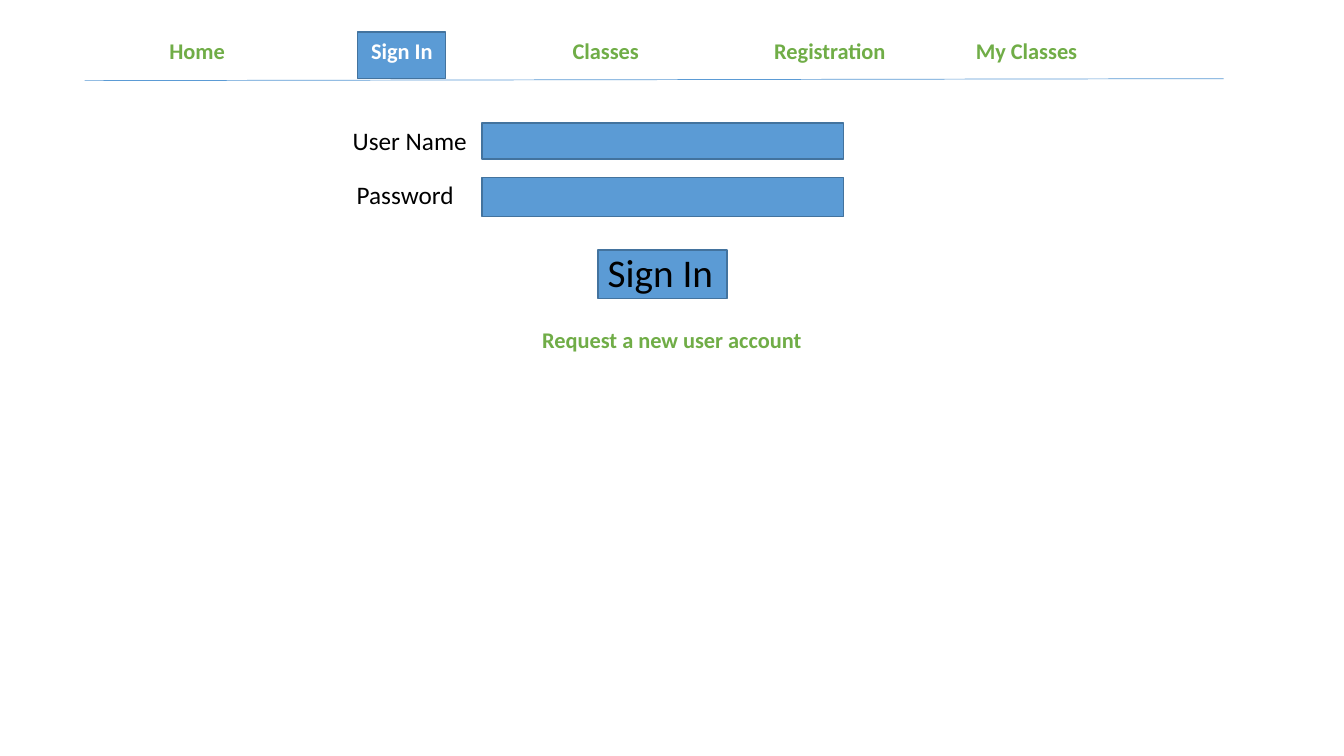
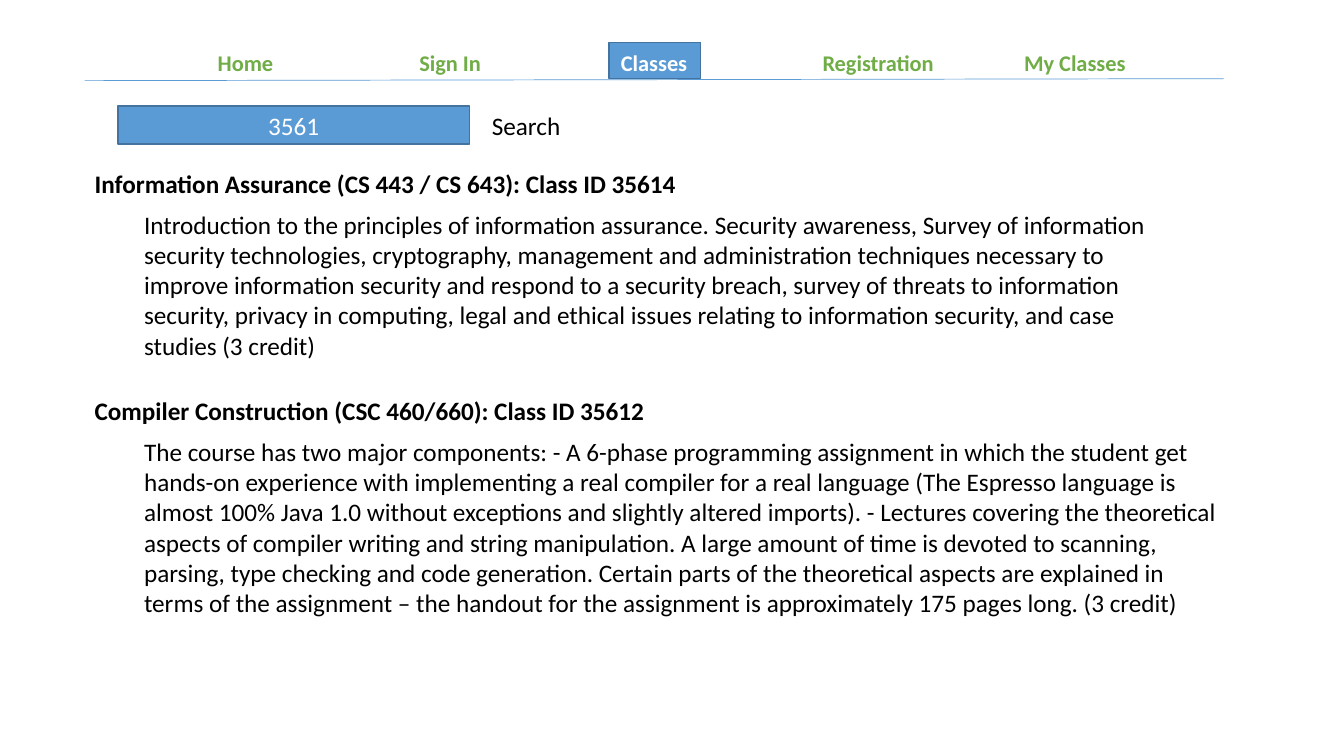
from dataclasses import dataclass

import pptx
import pptx.dml.color
import pptx.enum.shapes
import pptx.enum.text
import pptx.oxml
import pptx.oxml.ns
import pptx.util
from pptx.util import Pt

COLORS = {"blue": "5B9BD5", "edge": "43739E", "green": "70AD47",
          "white": "FFFFFF", "black": "000000"}
FONT = "Calibri"
MENU = ["Home", "Sign In", "Classes", "Registration", "My Classes"]
MENU_STEP = 144
MENU_SIZE = (812.2, 59.8)

ALIGN = pptx.enum.text.PP_ALIGN
ANCHOR = pptx.enum.text.MSO_ANCHOR
AUTO_SIZE = pptx.enum.text.MSO_AUTO_SIZE


@dataclass
class Area:
    """A rectangle on the slide, in points."""
    left: float
    top: float
    width: float
    height: float

    def lengths(self) -> list:
        """Return the four values as lengths."""
        return [Pt(v) for v in (self.left, self.top, self.width, self.height)]


@dataclass
class Label:
    """A piece of text and how it is set."""
    area: Area
    lines: list[str]
    size: float = 18
    color: str = "black"
    bold: bool = False
    align: ALIGN = ALIGN.LEFT
    anchor: ANCHOR = ANCHOR.TOP
    spacing: float = 1.0
    grow: bool = False


@dataclass
class Course:
    """A class listing: heading, description and their tops and heights."""
    heading: str
    description: list[str]
    top: float
    height: float


def rgb(name: str) -> pptx.dml.color.RGBColor:
    """Look up a named colour."""
    return pptx.dml.color.RGBColor.from_string(COLORS[name])


def set_font(font, size: float, color: str, bold: bool = False) -> None:
    """Apply the shared typeface with the given look."""
    font.name, font.size, font.bold = FONT, Pt(size), bold
    font.color.rgb = rgb(color)


def add_box(slide, area: Area, text: str = "") -> None:
    """Draw a blue outlined box, with optional centred white text."""
    box = slide.shapes.add_shape(
        pptx.enum.shapes.MSO_SHAPE.RECTANGLE, *area.lengths())
    box.shadow.inherit = False
    box.fill.solid()
    box.fill.fore_color.rgb = rgb("blue")
    box.line.color.rgb = rgb("edge")
    box.line.width = Pt(1)
    if text:
        box.text_frame.text = text
        box.text_frame.vertical_anchor = ANCHOR.MIDDLE
        paragraph = box.text_frame.paragraphs[0]
        paragraph.alignment = ALIGN.CENTER
        set_font(paragraph.font, 18, "white")


def add_label(slide, label: Label) -> None:
    """Place a text box with one paragraph per line."""
    frame = slide.shapes.add_textbox(*label.area.lengths()).text_frame
    frame.text = "\n".join(label.lines)
    frame.word_wrap = True
    frame.vertical_anchor = label.anchor
    if label.grow:
        frame.auto_size = AUTO_SIZE.SHAPE_TO_FIT_TEXT
    for paragraph in frame.paragraphs:
        paragraph.alignment = label.align
        paragraph.line_spacing = label.spacing
        set_font(paragraph.font, label.size, label.color, label.bold)


def add_rule(slide) -> None:
    """Draw the thin line under the menu."""
    rule = slide.shapes.add_connector(
        pptx.enum.shapes.MSO_CONNECTOR.STRAIGHT,
        Pt(60.5), Pt(57.6), Pt(874.1), Pt(56.2))
    rule.line.color.rgb = rgb("blue")
    rule.line.width = Pt(0.5)
    properties = rule.element.spPr
    properties.append(pptx.oxml.parse_xml(
        "<a:effectLst %s/>" % pptx.oxml.ns.nsdecls("a")))


def add_menu(slide, left: float, top: float, current: str, tab: Area) -> None:
    """Set the title as a menu with the current entry on a blue tab."""
    add_box(slide, tab)
    add_rule(slide)
    title = slide.shapes.title
    title.left, title.top, title.width, title.height = Area(
        left, top, *MENU_SIZE).lengths()
    frame = title.text_frame
    frame.auto_size = AUTO_SIZE.NONE
    frame.vertical_anchor = ANCHOR.MIDDLE
    paragraph = frame.paragraphs[0]
    paragraph.alignment = ALIGN.LEFT
    paragraph.line_spacing = 0.9
    stops = "".join('<a:tab pos="%d" algn="l"/>' % Pt(MENU_STEP * n)
                    for n in range(1, len(MENU)))
    paragraph_properties = paragraph.line_spacing and paragraph._p.get_or_add_pPr()
    paragraph_properties.append(pptx.oxml.parse_xml(
        "<a:tabLst %s>%s</a:tabLst>" % (pptx.oxml.ns.nsdecls("a"), stops)))
    for number, entry in enumerate(MENU):
        run = paragraph.add_run()
        run.text = "\t" + entry if number else entry
        set_font(run.font, 16, "white" if entry == current else "green", True)
    # The menu text has to lie above its tab.
    slide.shapes.element.append(title.element)


def add_course(slide, course: Course) -> None:
    """Write a class heading with its indented description below."""
    add_label(slide, Label(Area(60.5, course.top, 450, 28.8),
                           [course.heading], bold=True, grow=True))
    add_label(slide, Label(Area(95.8, course.top + 29.1, 785.5, course.height),
                           course.description, grow=True))


def build_sign_in(slide) -> None:
    """Build the sign-in form."""
    add_menu(slide, 113.8, 7.2, "Sign In", Area(255.6, 23, 62.6, 33.1))
    for field in (Area(344.2, 87.8, 258.5, 25.9),
                  Area(344.2, 126.7, 258.5, 28.1),
                  Area(427, 178.6, 92.2, 34.6)):
        add_box(slide, field)
    for label in (
            Label(Area(220.3, 74.2, 144.7, 41), ["User Name"],
                  align=ALIGN.CENTER, anchor=ANCHOR.BOTTOM, spacing=0.9),
            Label(Area(247.7, 121.7, 90, 37.4), ["Password"],
                  anchor=ANCHOR.MIDDLE, spacing=0.9),
            Label(Area(427, 177.8, 92.2, 43.9), ["Sign In"],
                  size=28, spacing=0.9),
            Label(Area(380.2, 213.8, 213.8, 59.8),
                  ["Request a new user account"], size=16, color="green",
                  bold=True, anchor=ANCHOR.MIDDLE, spacing=0.9)):
        add_label(slide, label)


COURSES = [
    Course("Information Assurance (CS 443 / CS 643): Class ID 35614", [
        "Introduction to the principles of information assurance. "
        "Security awareness, Survey of information",
        "security technologies, cryptography, management and "
        "administration techniques necessary to",
        "improve information security and respond to a security breach, "
        "survey of threats to information",
        "security, privacy in computing, legal and ethical issues relating "
        "to information security, and case",
        "studies (3 credit)"], 116.6, 116.6),
    Course("Compiler Construction (CSC 460/660): Class ID 35612", [
        "The course has two major components: - A 6-phase programming "
        "assignment in which the student get hands-on experience with "
        "implementing a real compiler for a real language (The Espresso "
        "language is almost 100% Java 1.0 without exceptions and slightly "
        "altered imports). - Lectures covering the theoretical aspects of "
        "compiler writing and string manipulation. A large amount of time "
        "is devoted to scanning, parsing, type checking and code "
        "generation. Certain parts of the theoretical aspects are "
        "explained in terms of the assignment – the handout for the "
        "assignment is approximately 175 pages long. (3 credit)"],
        278.9, 138.2),
]


def build_classes(slide) -> None:
    """Build the class search with its results."""
    add_menu(slide, 148.3, 15.8, "Classes", Area(434.9, 30.2, 65.5, 25.9))
    for course in COURSES:
        add_course(slide, course)
    add_box(slide, Area(84.2, 75.6, 251.3, 27.4), "3561")
    add_label(slide, Label(Area(344.2, 75.6, 66.2, 28.8), ["Search"],
                           grow=True))


def main() -> None:
    """Build and save the presentation."""
    deck = pptx.Presentation()
    deck.slide_width, deck.slide_height = Pt(960), Pt(540)
    title_only = deck.slide_layouts[5]
    for build in (build_sign_in, build_classes):
        build(deck.slides.add_slide(title_only))
    deck.save("out.pptx")


main()
